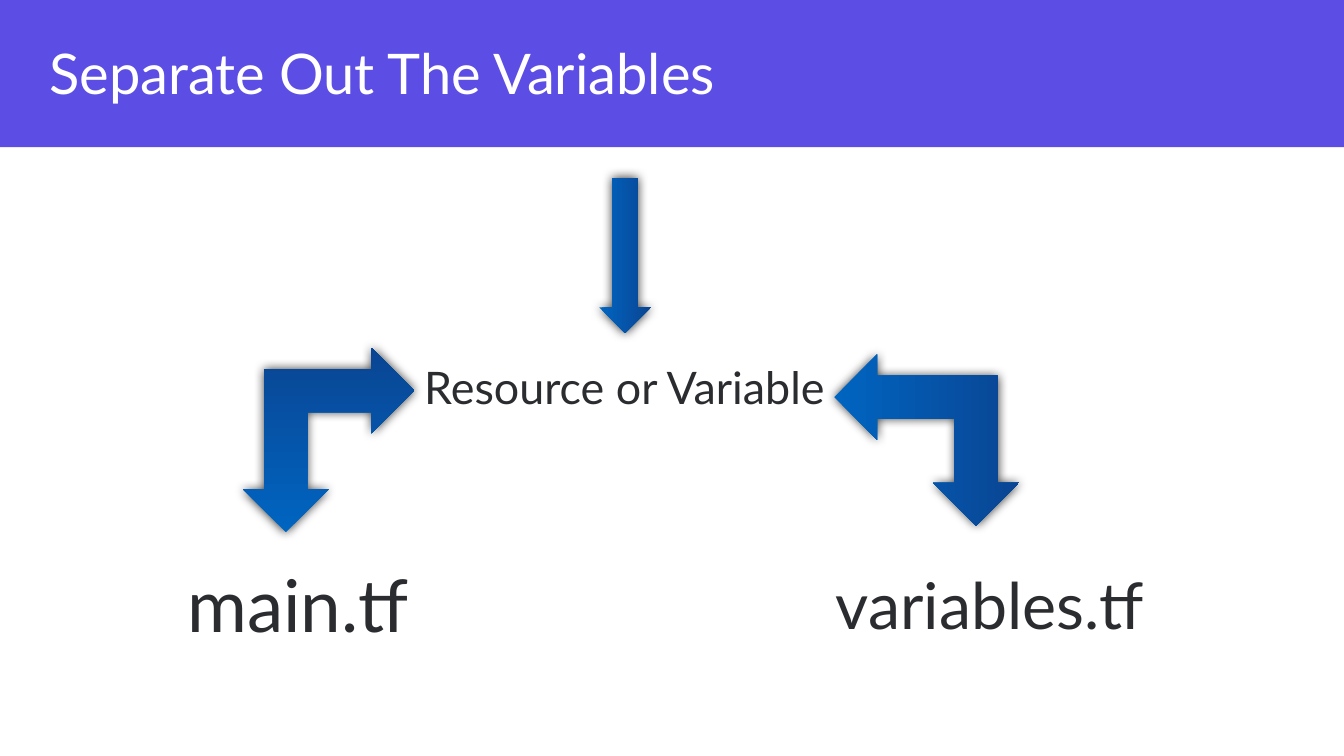
from lxml.etree import SubElement
from pptx import Presentation
from pptx.dml.color import RGBColor
from pptx.enum.shapes import MSO_SHAPE as Shape
from pptx.enum.text import MSO_ANCHOR as Anchor, MSO_AUTO_SIZE as AutoSize, PP_ALIGN as Align
from pptx.oxml.ns import qn
from pptx.util import Inches, Pt

COLORS = {
    "banner": "5C4EE5",
    "title": "FFFFFF",
    "label": "2A2C2F",
    "arrow_light": "0065C1",
    "arrow_dark": "094593",
    "shadow": "000000",
}


class SlideBuilder:
    font = "Lato"

    def __init__(self, slide):
        self.shapes = slide.shapes

    def color(self, name):
        return RGBColor.from_string(COLORS[name])

    def banner(self, *box):
        banner = self.shapes.add_shape(Shape.RECTANGLE, *map(Inches, box))
        banner.shadow.inherit = False
        banner.fill.solid()
        banner.fill.fore_color.rgb = self.color("banner")
        banner.line.fill.background()

    def text(self, words, box, size, color="label", align=Align.CENTER,
             inset=0.08, auto_size=AutoSize.SHAPE_TO_FIT_TEXT):
        frame = self.shapes.add_textbox(*map(Inches, box)).text_frame
        frame.word_wrap = True
        frame.auto_size = auto_size
        frame.vertical_anchor = Anchor.MIDDLE
        frame.margin_left = frame.margin_right = Inches(inset)
        frame.margin_top = frame.margin_bottom = Inches(inset)
        paragraph = frame.paragraphs[0]
        paragraph.text = words
        paragraph.alignment = align
        paragraph.font.name = self.font
        paragraph.font.size = Pt(size)
        paragraph.font.color.rgb = self.color(color)

    def arrow(self, preset, box, rotation, flipped=False):
        arrow = self.shapes.add_shape(preset, *map(Inches, box))
        arrow.rotation = rotation
        arrow.line.fill.background()
        arrow.fill.gradient()
        arrow.fill.gradient_angle = 270
        for stop, name, position in zip(arrow.fill.gradient_stops, ("arrow_light", "arrow_dark"), (0, 1)):
            stop.color.rgb = self.color(name)
            stop.position = position
        properties = arrow._element.spPr
        if flipped:
            properties.find(qn("a:xfrm")).set("flipV", "1")
        arrow.shadow.inherit = False
        effects = properties.find(qn("a:effectLst"))
        shadow = SubElement(effects, qn("a:outerShdw"), blurRad=str(Pt(8)), dist="0",
                            dir="18900000", rotWithShape="0")
        tint = SubElement(shadow, qn("a:srgbClr"), val=COLORS["shadow"])
        SubElement(tint, qn("a:alpha"), val="80000")


def main():
    deck = Presentation()
    deck.slide_width, deck.slide_height = Inches(13.33), Inches(7.5)
    builder = SlideBuilder(deck.slides.add_slide(deck.slide_layouts[6]))

    builder.banner(0, 0, 13.33, 1.46)
    builder.text("Separate Out The Variables", (0.43, 0.2, 11.54, 1.03), 40, "title",
                 Align.LEFT, 0.06, AutoSize.NONE)
    builder.arrow(Shape.RIGHT_ARROW, (5.43, 2.28, 1.54, 0.51), 90, flipped=True)
    builder.text("Resource or Variable", (3.21, 3.49, 5.97, 0.7), 32)
    for left, rotation in ((8.34, 270), (2.41, 180)):
        builder.arrow(Shape.LEFT_UP_ARROW, (left, 3.45, 1.7, 1.83), rotation)
    builder.text("main.tf", (0.81, 5.47, 4.29, 1.03), 52)
    builder.text("variables.tf", (7.67, 5.52, 4.29, 0.93), 46)

    deck.save("out.pptx")


if __name__ == "__main__":
    main()
